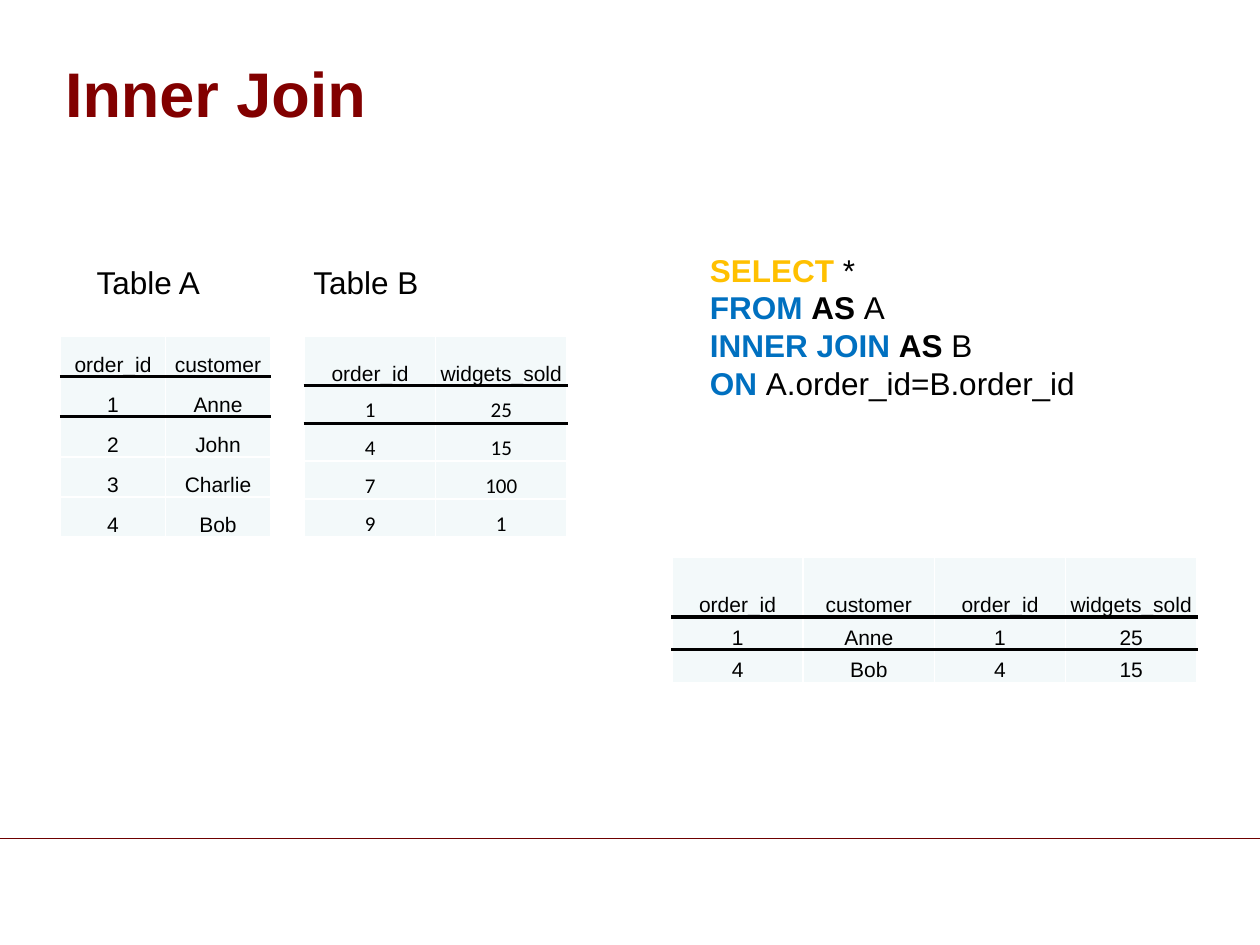
from dataclasses import dataclass

from lxml import etree
from pptx import Presentation
from pptx.dml.color import RGBColor
from pptx.enum.shapes import MSO_CONNECTOR
from pptx.enum.text import MSO_ANCHOR, PP_ALIGN
from pptx.oxml.ns import qn
from pptx.util import Pt

LEFT, CENTER = PP_ALIGN.LEFT, PP_ALIGN.CENTER
MIDDLE, BOTTOM = MSO_ANCHOR.MIDDLE, MSO_ANCHOR.BOTTOM
STRAIGHT = MSO_CONNECTOR.STRAIGHT


@dataclass(frozen=True)
class Theme:
    font: str = "Arial"
    num_font: str = "Calibri"
    title: str = "820000"
    rule: str = "6E0000"
    ink: str = "000000"
    gold: str = "FFC000"
    blue: str = "0070C0"
    cell: str = "F3F9FA"
    grid: str = "FFFFFF"
    head_size: int = 36
    text_size: int = 18
    cell_size: int = 12


T = Theme()


def put(obj, **vals):
    for key, val in vals.items():
        setattr(obj, key, val)


def add_run(par, text, size, color=T.ink, bold=False, font=T.font):
    run = par.add_run()
    run.text = text
    put(run.font, name=font, size=Pt(size), bold=bold)
    run.font.color.rgb = RGBColor.from_string(color)


def place(shape, box):
    put(shape, **dict(zip(("left", "top", "width", "height"), map(Pt, box))))


def add_title(slide, box, text):
    title = slide.shapes.title
    place(title, box)
    frame = title.text_frame
    put(frame, vertical_anchor=MIDDLE, word_wrap=True)
    par = frame.paragraphs[0]
    par.alignment = LEFT
    add_run(par, text, T.head_size, T.title, True)


def add_rule(slide, box):
    x, y, w, h = box
    line = slide.shapes.add_connector(STRAIGHT, Pt(x), Pt(y), Pt(x + w), Pt(y + h))
    line.line.color.rgb = RGBColor.from_string(T.rule)
    line.line.width = Pt(0.75)
    etree.SubElement(line._element.spPr, qn("a:effectLst"))


def add_text(slide, box, lines):
    """Each line is a list of (text, color, bold) parts."""
    frame = slide.shapes.add_textbox(*map(Pt, box)).text_frame
    frame.word_wrap = False
    for i, parts in enumerate(lines):
        par = frame.add_paragraph() if i else frame.paragraphs[0]
        for text, color, bold in parts:
            add_run(par, text, T.text_size, color, bold)


def edge(cell, side, color, width):
    line = etree.SubElement(cell._tc.get_or_add_tcPr(), qn("a:ln" + side), w=str(Pt(width)))
    fill = etree.SubElement(line, qn("a:solidFill"))
    etree.SubElement(fill, qn("a:srgbClr"), val=color)


def add_grid(slide, box, rows, head, font=T.font):
    """The head row has its own height; the other rows share the rest."""
    x, y, w, h = box
    count, wide = len(rows), len(rows[0])
    table = slide.shapes.add_table(count, wide, Pt(x), Pt(y), Pt(w), Pt(h)).table
    put(table, first_row=False, horz_banding=False)
    for col in table.columns:
        col.width = Pt(w / wide)
    thin, thick = (T.grid, 1), (T.ink, 2.25)
    for r, vals in enumerate(rows):
        table.rows[r].height = Pt(head if r == 0 else (h - head) / (count - 1))
        # Heavy lines run below the head and the first record
        sides = {"L": thin, "R": thin, "T": thick if r in (1, 2) else thin,
                 "B": thick if r < 2 else thin}
        for c, val in enumerate(vals):
            cell = table.cell(r, c)
            put(cell, margin_left=Pt(0.7), margin_right=Pt(0.7), margin_top=Pt(0.7),
                margin_bottom=0, vertical_anchor=BOTTOM)
            for side, style in sides.items():
                edge(cell, side, *style)
            cell.fill.solid()
            cell.fill.fore_color.rgb = RGBColor.from_string(T.cell)
            par = cell.text_frame.paragraphs[0]
            par.alignment = CENTER
            add_run(par, val, T.cell_size, font=font if r else T.font)


def add_source(slide, box, name, shift, rows, head, font=T.font):
    """A table with its name above; shift is the name's offset."""
    x, y, w, h = box
    add_text(slide, (x + shift, y, 74.5, 29), [[(name, T.ink, False)]])
    add_grid(slide, (x, y + 45.4, w, h - 45.4), rows, head, font)


def add_query(slide, box):
    add_text(slide, box, [
        [("SELECT ", T.gold, True), ("*", T.ink, False)],
        [("FROM ", T.blue, True), ("AS ", T.ink, True), ("A", T.ink, False)],
        [("INNER JOIN ", T.blue, True), ("AS ", T.ink, True), ("B", T.ink, False)],
        [("ON ", T.blue, True), ("A.order_id=B.order_id", T.ink, False)],
    ])


def main():
    deck = Presentation()
    put(deck, slide_width=Pt(720), slide_height=Pt(540))
    slide = deck.slides.add_slide(deck.slide_layouts[5])

    # Frame of the slide
    add_rule(slide, (0, 479.3, 720, 0))
    add_title(slide, (30, 23, 654, 60), "Inner Join")

    # Source tables
    people = [("order_id", "customer"), ("1", "Anne"), ("2", "John"),
              ("3", "Charlie"), ("4", "Bob")]
    sales = [("order_id", "widgets_sold"), ("1", "25"), ("4", "15"),
             ("7", "100"), ("9", "1")]
    add_source(slide, (34.6, 147, 120, 159.9), "Table A", 13.6, people, 22.9)
    add_source(slide, (174, 147, 150, 159.9), "Table B", -2, sales, 27.9, T.num_font)

    # Query and its result
    add_query(slide, (398.6, 139.7, 224, 94.3))
    joined = [("order_id", "customer", "order_id", "widgets_sold"),
              ("1", "Anne", "1", "25"), ("4", "Bob", "4", "15")]
    add_grid(slide, (384, 318.2, 300, 71.7), joined, 34.5)

    deck.save("out.pptx")


if __name__ == "__main__":
    main()
